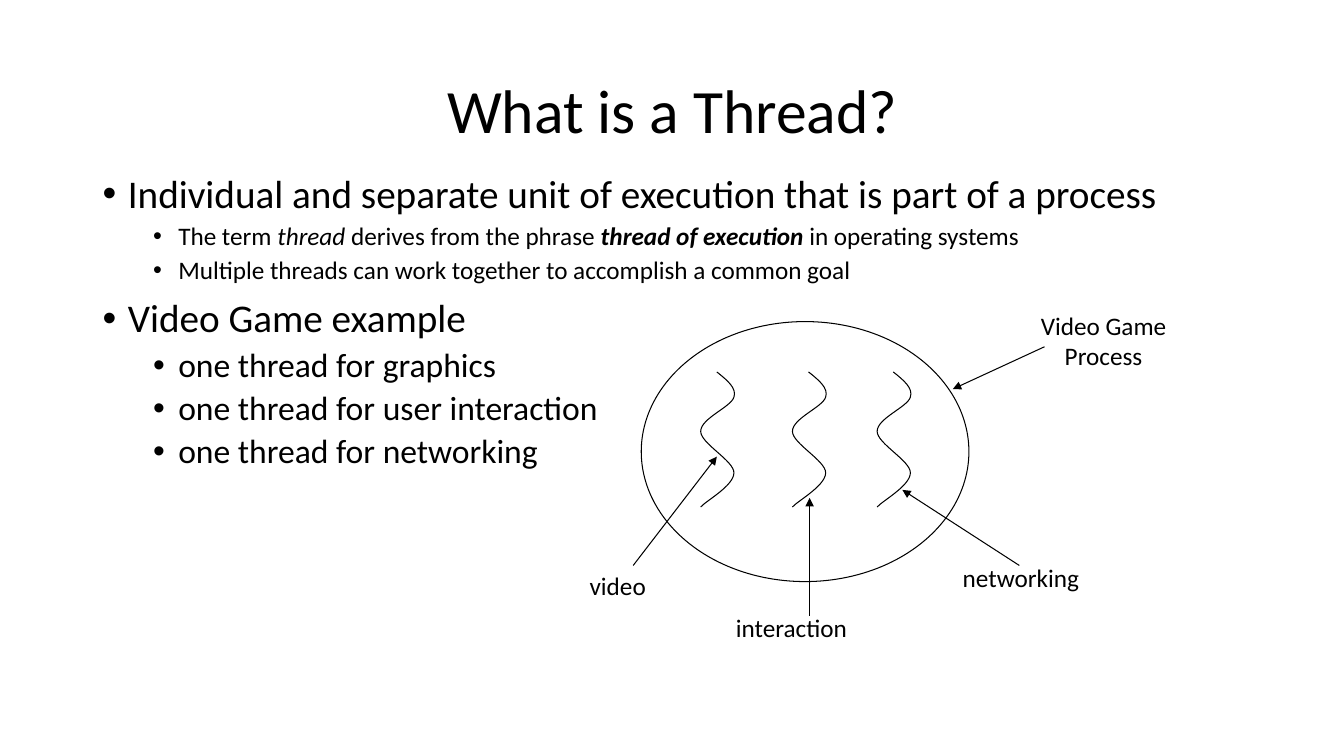
from pptx import Presentation
from pptx import util as u
from pptx.dml.color import RGBColor
from pptx.enum import shapes, text
from pptx.oxml.ns import qn
from lxml import etree

THREAD_START = (0.16, 0)
THREAD_CURVES = [
    (0.26, 0.08), (0.36, 0.16), (0.33, 0.25),
    (0.3, 0.35), (0, 0.46), (0, 0.59),
    (0, 0.71), (0.33, 0.88), (0.33, 1),
    (0.33, 1.13), (0.05, 1.28), (0, 1.34),
]


def color(hex_string):
    return RGBColor.from_string(hex_string)


def curve_segments(sp):
    """Turn each three straight segments of a freeform into one cubic curve."""
    segments = list(sp._element.iter(qn("a:lnTo")))
    for i in range(0, len(segments), 3):
        curve = etree.Element(qn("a:cubicBezTo"))
        segments[i].addprevious(curve)
        for segment in segments[i:i + 3]:
            curve.append(segment[0])
            segment.getparent().remove(segment)


def add_run(p, content, size=18, font="Calibri", ink="000000", bold=False, italic=False):
    r = p.add_run()
    r.text = content
    r.font.size = u.Pt(size)
    r.font.name = font
    r.font.color.rgb = color(ink)
    r.font.bold = bold
    r.font.italic = italic


def set_bullet(p, level):
    """Give the paragraph a hanging bullet and the spacing of its level."""
    p.level = level
    p.line_spacing = 0.9
    p.space_before = u.Pt(5 if level else 10)
    pPr = p._p.get_or_add_pPr()
    pPr.set("marL", str(u.Inches(0.25 + 0.5 * level)))
    pPr.set("indent", str(u.Inches(-0.25)))
    etree.SubElement(pPr, qn("a:buFont")).set("typeface", "Arial")
    etree.SubElement(pPr, qn("a:buChar")).set("char", "•")


class Deck:
    ink = "000000"
    line_width = 0.75

    def __init__(self, prs):
        self.s = prs.slides.add_slide(prs.slide_layouts[6])

    def outline(self, sp):
        sp.line.color.rgb = color(self.ink)
        sp.line.width = u.Pt(self.line_width)

    def box(self, x, y, w, h, wrap=True):
        sp = self.s.shapes.add_textbox(*map(u.Inches, (x, y, w, h)))
        tf = sp.text_frame
        tf.word_wrap = wrap
        return tf

    def title(self, content, x, y, w, h):
        tf = self.box(x, y, w, h)
        tf.vertical_anchor = text.MSO_ANCHOR.MIDDLE
        p = tf.paragraphs[0]
        p.alignment = text.PP_ALIGN.CENTER
        p.line_spacing = 0.9
        add_run(p, content, size=44)

    def bullets(self, items, x, y, w, h):
        tf = self.box(x, y, w, h)
        for i, (level, size, runs) in enumerate(items):
            p = tf.add_paragraph() if i else tf.paragraphs[0]
            set_bullet(p, level)
            for content, style in runs:
                add_run(p, content, size=size, **style)

    def label(self, lines, x, y, w, h, align=text.PP_ALIGN.LEFT):
        tf = self.box(x, y, w, h, wrap=False)
        tf.auto_size = text.MSO_AUTO_SIZE.SHAPE_TO_FIT_TEXT
        for i, content in enumerate(lines):
            p = tf.add_paragraph() if i else tf.paragraphs[0]
            p.alignment = align
            add_run(p, content)

    def ellipse(self, x, y, w, h):
        sp = self.s.shapes.add_shape(shapes.MSO_SHAPE.OVAL, *map(u.Inches, (x, y, w, h)))
        sp.shadow.inherit = False
        sp.fill.background()
        self.outline(sp)

    def thread(self, x, y):
        """Draw one wavy line whose box starts at x, y."""
        start, *points = [(u.Inches(x + px), u.Inches(y + py))
                          for px, py in (THREAD_START, *THREAD_CURVES)]
        builder = self.s.shapes.build_freeform(*start)
        builder.add_line_segments(points, close=False)
        sp = builder.convert_to_shape()
        curve_segments(sp)
        sp.shadow.inherit = False
        sp.fill.background()
        self.outline(sp)

    def arrow(self, x1, y1, x2, y2):
        sp = self.s.shapes.add_connector(shapes.MSO_CONNECTOR.STRAIGHT,
                                         *map(u.Inches, (x1, y1, x2, y2)))
        self.outline(sp)
        spPr = sp._element.spPr
        etree.SubElement(spPr.find(qn("a:ln")), qn("a:tailEnd")).set("type", "triangle")
        etree.SubElement(spPr, qn("a:effectLst"))


def main():
    prs = Presentation()
    prs.slide_width, prs.slide_height = u.Inches(13.33), u.Inches(7.5)
    deck = Deck(prs)

    deck.title("What is a Thread?", 0.92, 0.4, 11.5, 1.45)
    deck.bullets([
        (0, 28, [("Individual and separate unit of execution that is part of a process", {})]),
        (1, 18, [("The term ", {}),
                 ("thread", {"italic": True}),
                 (" derives from the phrase ", {}),
                 ("thread of execution ", {"bold": True, "italic": True}),
                 ("in operating systems", {})]),
        (1, 18, [("Multiple threads can work together to accomplish a common goal", {})]),
        (0, 28, [("Video Game example", {})]),
        *[(1, 24, [(f"one thread for {task}", {})])
          for task in ("graphics", "user interaction", "networking")],
    ], 0.92, 1.68, 11.5, 5.07)

    deck.ellipse(6.36, 3.19, 3.25, 2.58)
    for x in (6.95, 7.86, 8.7):
        deck.thread(x, 3.69)

    deck.label(["video"], 5.75, 5.61, 0.94, 0.5)
    deck.label(["interaction"], 7.2, 6.03, 1.62, 0.5)
    deck.label(["networking"], 9.45, 5.53, 1.72, 0.5)
    deck.label(["Video Game", "Process"], 10, 3.03, 1.89, 0.9, align=text.PP_ALIGN.CENTER)

    for ends in ((6.28, 5.61, 7.11, 4.53), (8.03, 6.11, 8.03, 4.94),
                 (10.11, 5.61, 8.95, 4.86), (10.36, 3.44, 9.45, 3.86)):
        deck.arrow(*ends)

    prs.save("out.pptx")


if __name__ == "__main__":
    main()
